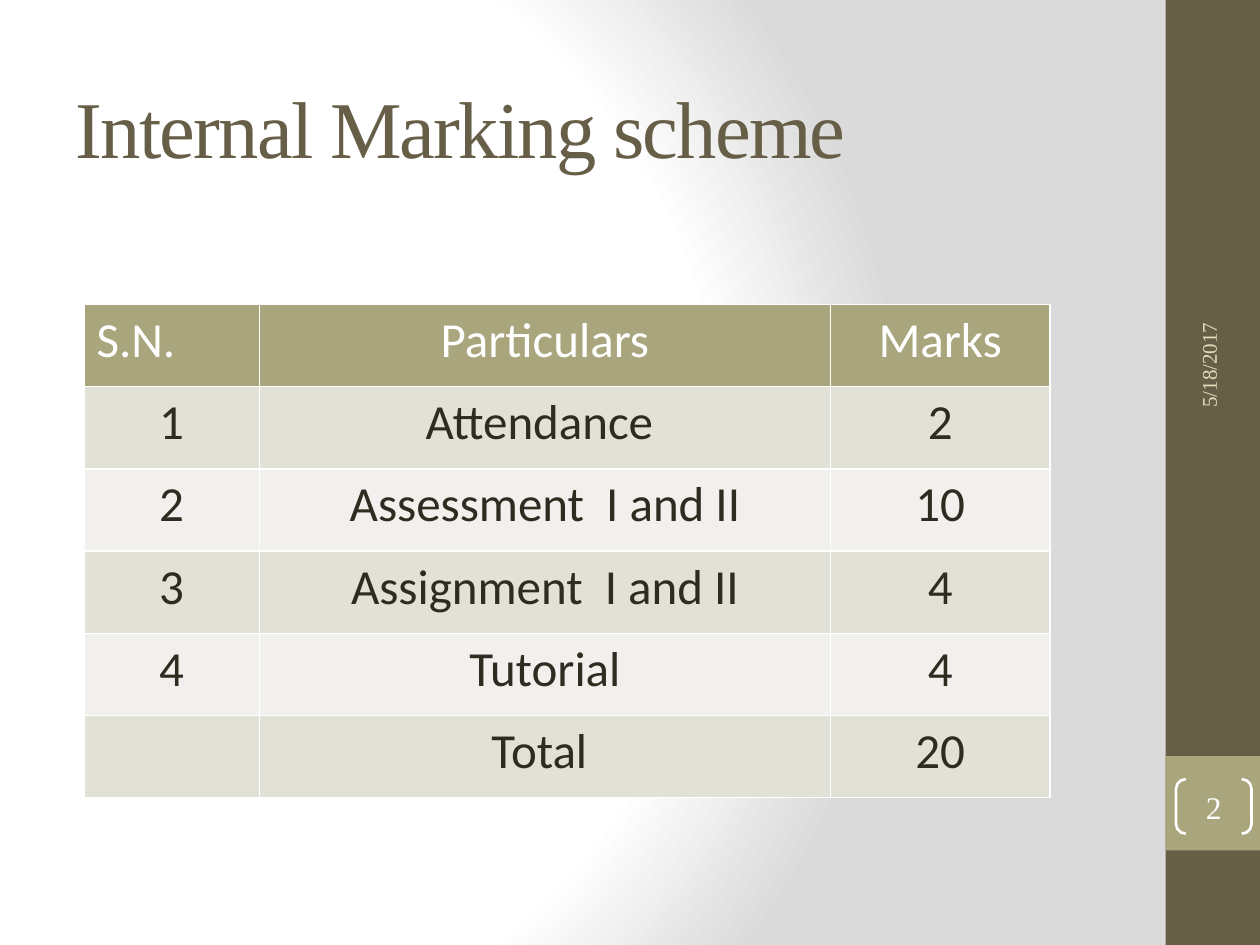
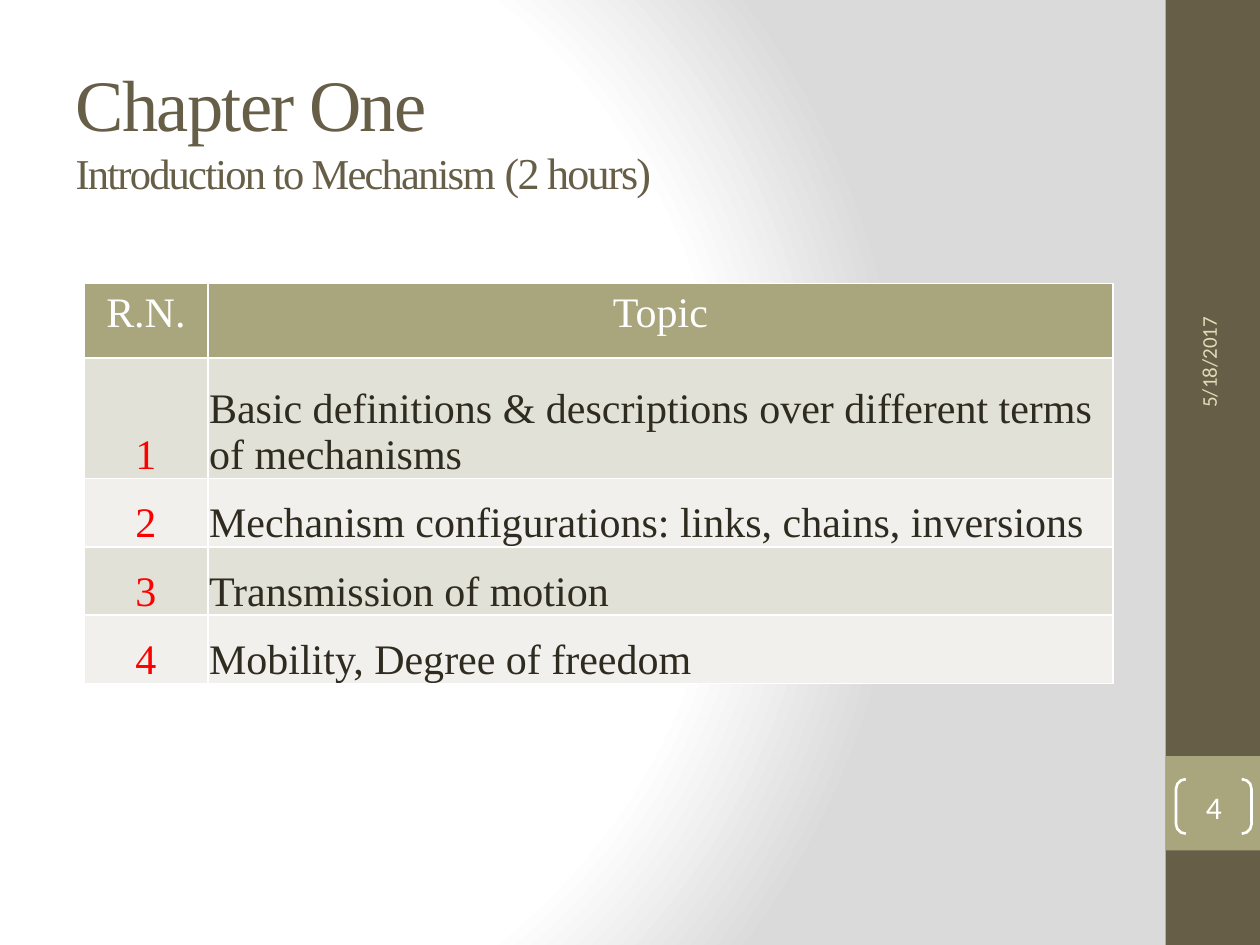
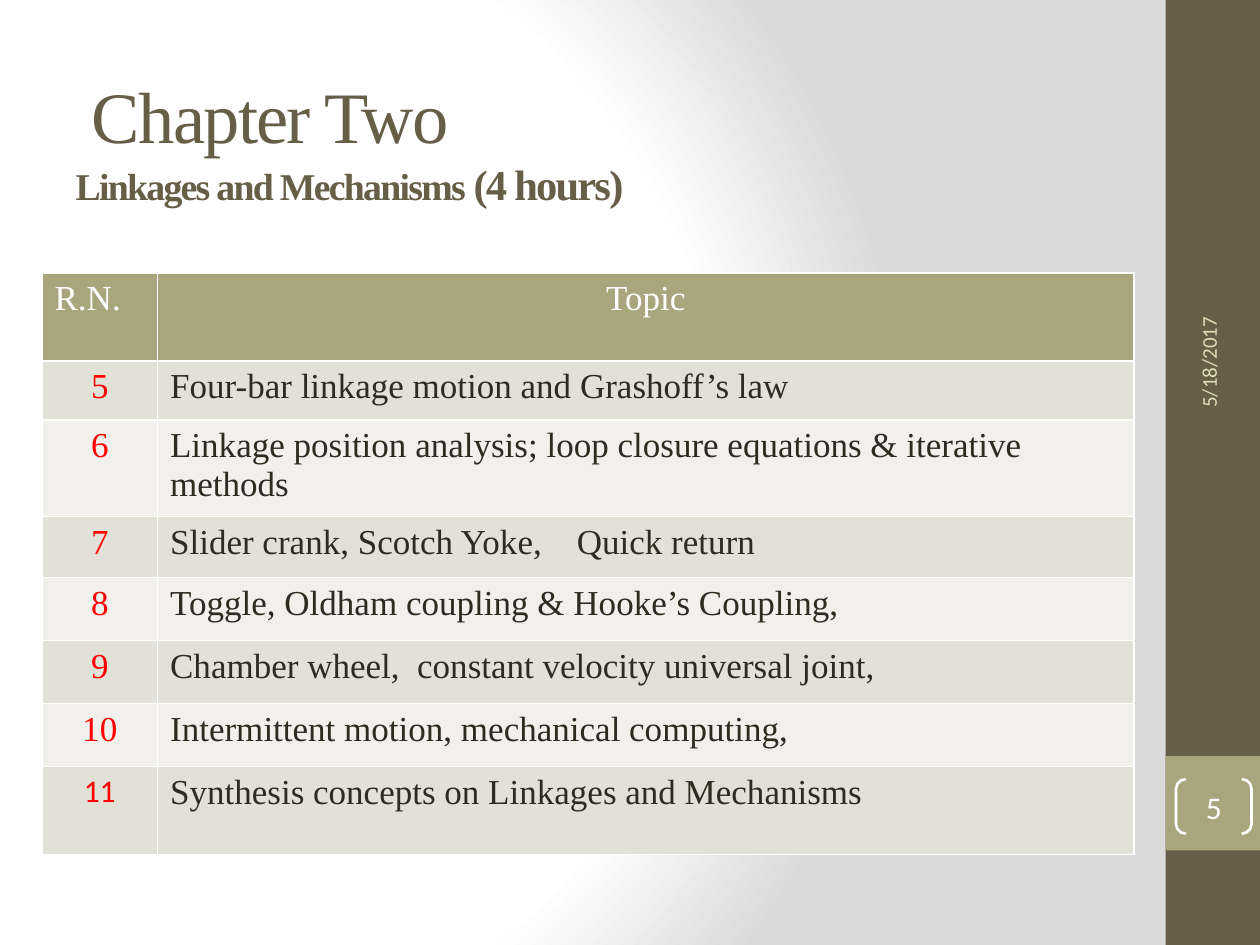
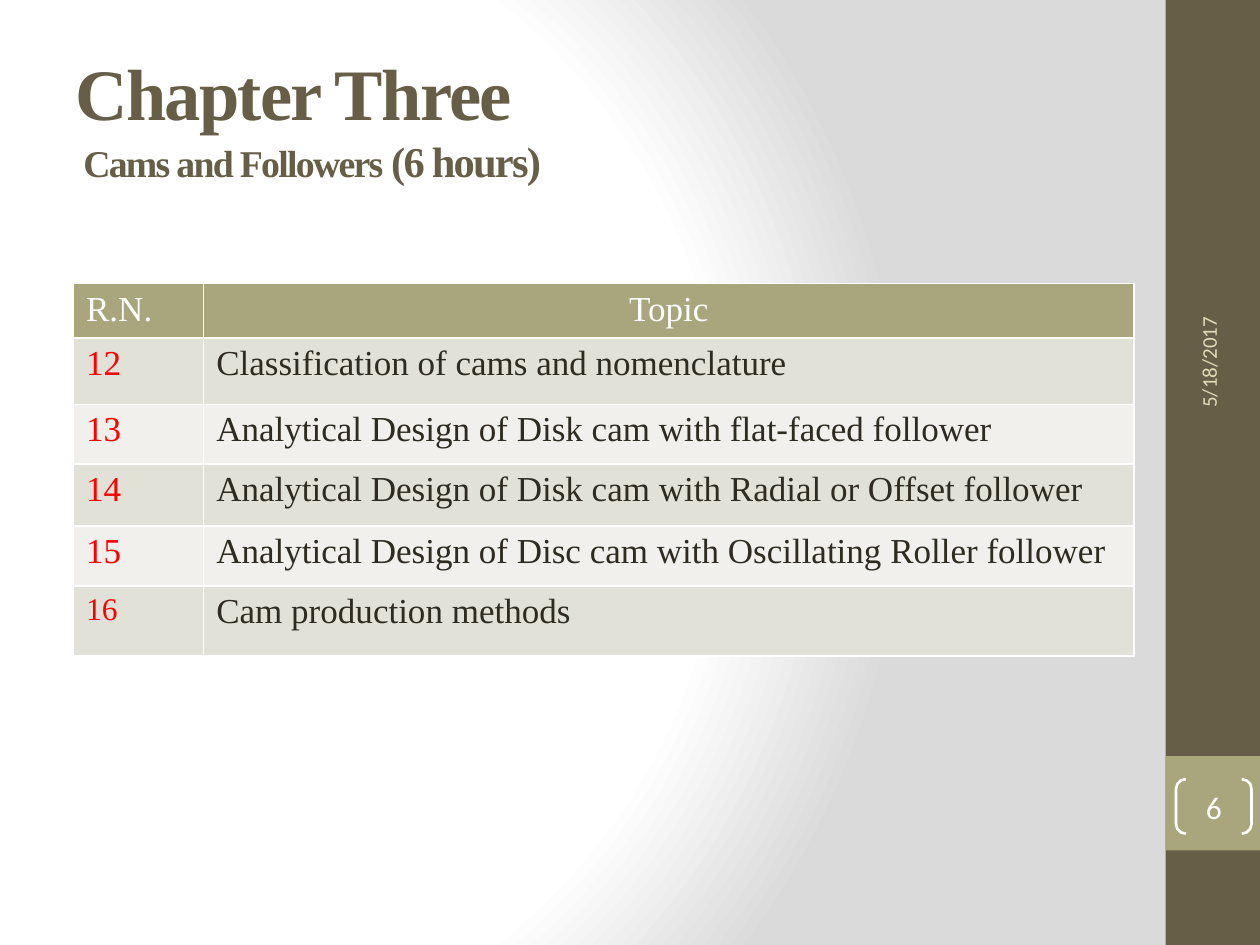
from dataclasses import dataclass
from typing import NamedTuple

from pptx import Presentation
from pptx.dml.color import RGBColor
from pptx.enum.shapes import MSO_SHAPE
from pptx.enum.text import MSO_ANCHOR, MSO_AUTO_SIZE, PP_ALIGN
from pptx.oxml import parse_xml
from pptx.oxml.ns import nsdecls, qn
from pptx.util import Emu, Inches, Pt

UNIT = Inches(1) // 12  # the slide is a grid of 120 columns by 90 rows
COLUMNS, ROWS = 120, 90

SERIF, SANS = "Times New Roman", "Calibri"
BROWN, OLIVE, SAND = "675E47", "A9A57C", "DFDCB7"
WHITE, GREY, INK, RED = "FFFFFF", "DADADA", "2F2B20", "FF0000"
STRIPES = ("E2E1D7", "F1F0EC")

RECTANGLE, BRACKETS = MSO_SHAPE.RECTANGLE, MSO_SHAPE.DOUBLE_BRACKET
TOP, MIDDLE, BOTTOM = MSO_ANCHOR.TOP, MSO_ANCHOR.MIDDLE, MSO_ANCHOR.BOTTOM
LEFT, CENTER = PP_ALIGN.LEFT, PP_ALIGN.CENTER


class Area(NamedTuple):
    left: float
    top: float
    width: float
    height: float


class Span(NamedTuple):
    text: str
    size: float
    bold: bool = False


class Style(NamedTuple):
    font: str
    size: float
    color: str
    align: PP_ALIGN = LEFT


@dataclass
class Grid:
    left: float
    top: float
    widths: list[float]
    heights: list[float]
    cells: list[list[str]]
    font: str
    size: float
    head_aligns: list[PP_ALIGN]
    body_aligns: list[PP_ALIGN]
    number_color: str = RED
    last_number: tuple[str, float] | None = None
    tight: bool = False


@dataclass
class Page:
    number: str
    title_area: Area
    title_inset: float
    title_lines: list[list[Span]]
    grid: Grid
    footer_font: str = SANS


SIDEBAR = Area(111, 0, 9, ROWS)
NUMBER_BAND = Area(111, 72, 9, 9)
NUMBER_BOX = Area(112, 74.2, 7.2, 5.2)
DATE_BOX = Area(99.1, 21.6, 32, 4.8)

PAGES = [
    Page(
        "2", Area(6, 3.6, 100, 15), 3.8,
        [[Span("Internal Marking scheme", 46)]],
        Grid(
            8, 29, [16.7, 54.4, 20.9], [7.83] * 6,
            [
                ["S.N.", "Particulars", "Marks"],
                ["1", "Attendance ", "2"],
                ["2", "Assessment  I and II", "10"],
                ["3", "Assignment  I and II", "4"],
                ["4", "Tutorial", "4"],
                ["", "Total ", "20"],
            ],
            SANS, 28, [LEFT, CENTER, CENTER], [CENTER] * 3, number_color=INK,
        ),
        SERIF,
    ),
    Page(
        "4", Area(6, 4, 100, 15), 1.6,
        [
            [Span("Chapter One", 41.4)],
            [Span("Introduction to Mechanism ", 24.3), Span("(2 hours)", 25.2)],
        ],
        Grid(
            8, 27, [11.8, 86.2], [7.1, 11.5, 6.5, 6.5, 6.5],
            [
                ["R.N.", "Topic"],
                ["1", "Basic definitions & descriptions over different terms of mechanisms"],
                ["2", "Mechanism configurations: links, chains, inversions"],
                ["3", "Transmission of motion"],
                ["4", "Mobility, Degree of freedom"],
            ],
            SERIF, 24, [CENTER, CENTER], [CENTER, LEFT], tight=True,
        ),
    ),
    Page(
        "5", Area(6, 4, 108, 22), 2.8,
        [
            [Span(" Chapter Two", 41.4)],
            [Span("Linkages and Mechanisms ", 21.6, True), Span("(4 hours)", 24.3, True)],
        ],
        Grid(
            4, 26, [11, 93], [8.4, 5.6, 8.4, 5.8, 6, 6, 6, 8.4],
            [
                ["R.N.", "Topic"],
                ["5", "Four-bar linkage motion and Grashoff’s law"],
                ["6", "Linkage position analysis; loop closure equations & iterative methods"],
                ["7", "Slider crank, Scotch Yoke,    Quick return"],
                ["8", "Toggle, Oldham coupling & Hooke’s Coupling,"],
                ["9", "Chamber wheel,  constant velocity universal joint,"],
                ["10", "Intermittent motion, mechanical computing,"],
                ["11", "Synthesis concepts on Linkages and Mechanisms"],
            ],
            SERIF, 20, [LEFT, CENTER], [CENTER, LEFT], last_number=(SANS, 18),
        ),
    ),
    Page(
        "6", Area(6, 4, 108, 15), 0.6,
        [
            [Span("Chapter Three", 41.4, True)],
            [Span(" Cams and Followers ", 21.6, True), Span("(6 hours)", 24.3, True)],
        ],
        Grid(
            7, 27, [12.4, 88.6], [4.6, 6.3, 5.7, 5.9, 5.7, 6.7],
            [
                ["R.N.", "Topic"],
                ["12", "Classification of cams and nomenclature"],
                ["13", "Analytical Design of Disk cam with flat-faced follower"],
                ["14", "Analytical Design of Disk cam with Radial or Offset follower"],
                ["15", "Analytical Design of Disc cam with Oscillating Roller follower"],
                ["16", "Cam production methods"],
            ],
            SERIF, 20, [LEFT, CENTER], [LEFT, LEFT], last_number=(SERIF, 18),
        ),
    ),
]


def rgb(color: str) -> RGBColor:
    return RGBColor.from_string(color)


def units(count: float) -> Emu:
    return Emu(round(count * UNIT))


def place(area: Area) -> list[Emu]:
    return [units(length) for length in area]


def write(frame, text: str, style: Style) -> None:
    """Put one paragraph of evenly styled text in a frame."""
    paragraph = frame.paragraphs[0]
    paragraph.text = text
    paragraph.alignment = style.align
    font = paragraph.font
    font.name, font.size, font.bold = style.font, Pt(style.size), False
    font.color.rgb = rgb(style.color)


def paint_background(master) -> None:
    """Give the master a white glow that fades to grey on the right."""
    stops = "".join(
        f'<a:gs pos="{share * 1000}"><a:srgbClr val="{color}"/></a:gs>'
        for share, color in ((0, WHITE), (75, WHITE), (100, GREY))
    )
    background = parse_xml(
        f'<p:bg {nsdecls("p", "a")}><p:bgPr><a:gradFill rotWithShape="1">'
        f'<a:gsLst>{stops}</a:gsLst><a:path path="circle">'
        '<a:fillToRect l="20000" t="50000" r="100000" b="50000"/></a:path>'
        "</a:gradFill><a:effectLst/></p:bgPr></p:bg>"
    )
    content = master.element.cSld
    previous = content.find(qn("p:bg"))
    if previous is not None:
        content.remove(previous)
    content.insert(0, background)


def move_bands_to_master(slide, master) -> None:
    """Draw the side bands on a slide, then hand them to the master."""
    for index, (area, color) in enumerate(((SIDEBAR, BROWN), (NUMBER_BAND, OLIVE))):
        band = slide.shapes.add_shape(RECTANGLE, *place(area))
        band.shadow.inherit = False
        band.fill.solid()
        band.fill.fore_color.rgb = rgb(color)
        band.line.fill.background()
        band.element.nvSpPr.cNvPr.set("id", str(100 + index))
        master.shapes.element.insert(2 + index, band.element)


def add_title(slide, page: Page) -> None:
    title = slide.shapes.title
    title.left, title.top, title.width, title.height = place(page.title_area)
    frame = title.text_frame
    frame.word_wrap = True
    frame.auto_size = MSO_AUTO_SIZE.NONE
    frame.vertical_anchor = TOP
    frame.margin_top = units(page.title_inset)
    paragraph = frame.paragraphs[0]
    paragraph.alignment = LEFT
    paragraph.font.name = SERIF
    paragraph.font.color.rgb = rgb(BROWN)
    for index, line in enumerate(page.title_lines):
        if index:
            paragraph.add_line_break()
        for span in line:
            run = paragraph.add_run()
            run.text = span.text
            run.font.size, run.font.bold = Pt(span.size), span.bold
            run.font._element.set("spc", "-100")


def add_date(slide, font: str) -> None:
    box = slide.shapes.add_textbox(*place(DATE_BOX))
    box.rotation = 270
    box.text_frame.word_wrap = True
    box.text_frame.vertical_anchor = MIDDLE
    write(box.text_frame, "5/18/2017", Style(font, 12, SAND))


def add_number(slide, number: str, font: str) -> None:
    box = slide.shapes.add_shape(BRACKETS, *place(NUMBER_BOX))
    box.shadow.inherit = False
    box.adjustments[0] = 0.18
    box.fill.background()
    box.line.color.rgb = rgb(WHITE)
    box.line.width = Pt(1.5)
    frame = box.text_frame
    frame.margin_left = frame.margin_right = frame.margin_top = frame.margin_bottom = 0
    frame.vertical_anchor = MIDDLE
    write(frame, number, Style(font, 18, WHITE, CENTER))


def cell_style(grid: Grid, row: int, column: int) -> Style:
    if row == 0:
        return Style(grid.font, grid.size, WHITE, grid.head_aligns[column])
    font, size = grid.font, grid.size
    if column == 0 and row == len(grid.cells) - 1 and grid.last_number:
        font, size = grid.last_number
    color = grid.number_color if column == 0 else INK
    return Style(font, size, color, grid.body_aligns[column])


def add_grid(slide, grid: Grid) -> None:
    area = Area(grid.left, grid.top, sum(grid.widths), sum(grid.heights))
    table = slide.shapes.add_table(
        len(grid.heights), len(grid.widths), *place(area)
    ).table
    table.horz_banding = False
    for column, width in zip(table.columns, grid.widths):
        column.width = units(width)
    for row, height in zip(table.rows, grid.heights):
        row.height = units(height)
    for row, texts in enumerate(grid.cells):
        for column, text in enumerate(texts):
            cell = table.cell(row, column)
            cell.fill.solid()
            cell.fill.fore_color.rgb = rgb(STRIPES[(row - 1) % 2] if row else OLIVE)
            if grid.tight and row:
                cell.vertical_anchor = BOTTOM
                cell.margin_left = cell.margin_right = cell.margin_top = Inches(0.01)
                cell.margin_bottom = 0
            write(cell.text_frame, text, cell_style(grid, row, column))


def main() -> None:
    deck = Presentation()
    deck.slide_width, deck.slide_height = units(COLUMNS), units(ROWS)
    paint_background(deck.slide_master)
    title_only = deck.slide_layouts.get_by_name("Title Only")
    for index, page in enumerate(PAGES):
        slide = deck.slides.add_slide(title_only)
        if index == 0:
            move_bands_to_master(slide, deck.slide_master)
        add_title(slide, page)
        add_date(slide, page.footer_font)
        add_number(slide, page.number, page.footer_font)
        add_grid(slide, page.grid)
    deck.save("out.pptx")


if __name__ == "__main__":
    main()
